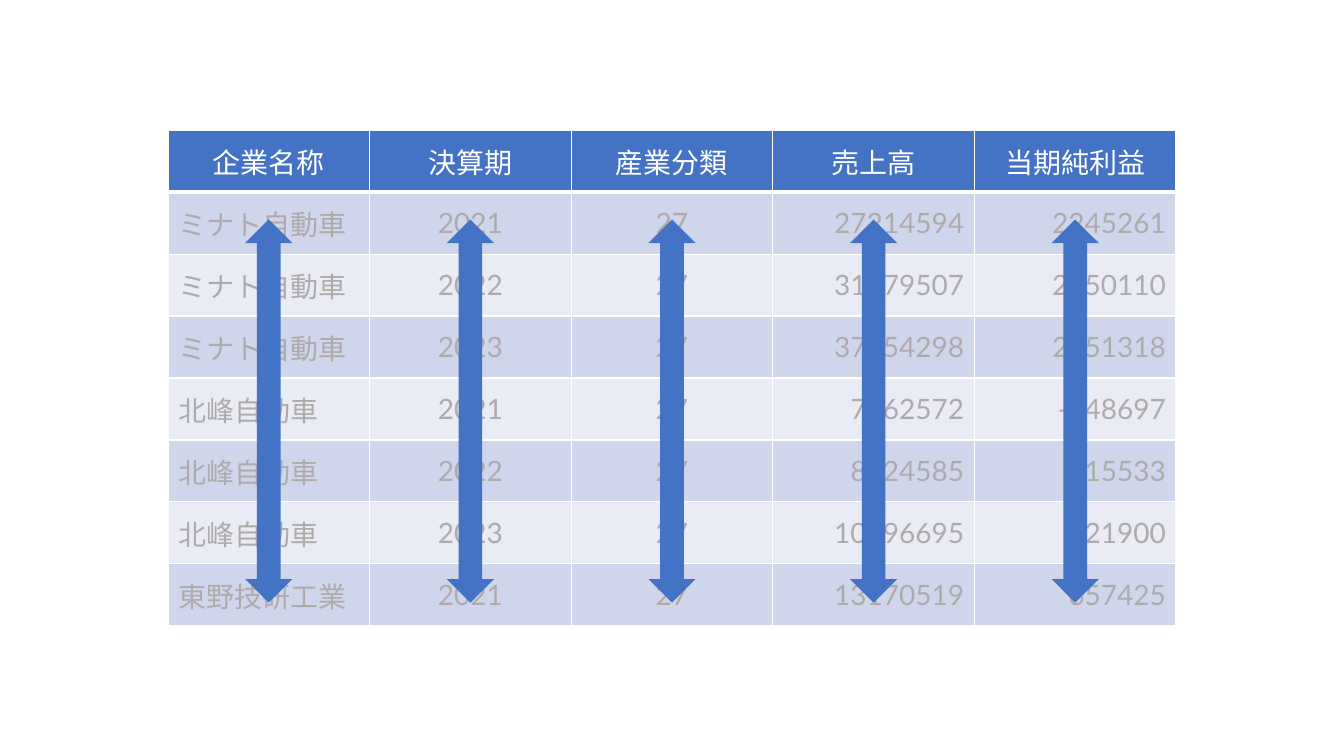
from lxml.etree import SubElement
from pptx import Presentation
from pptx.dml.color import RGBColor
from pptx.enum.shapes import MSO_SHAPE as Shape
from pptx.enum.text import MSO_ANCHOR as Anchor, PP_ALIGN as Align
from pptx.oxml.ns import qn
from pptx.util import Emu, Pt

EMU_PER_PX = 9525
BLUE = RGBColor(0x44, 0x72, 0xC4)
BAND_DARK = RGBColor(0xCF, 0xD5, 0xEA)
BAND_LIGHT = RGBColor(0xE9, 0xEB, 0xF5)
GRAY = RGBColor(0xAF, 0xAB, 0xAB)
WHITE = RGBColor(0xFF, 0xFF, 0xFF)

HEADINGS = ["企業名称", "決算期", "産業分類", "売上高", "当期純利益"]
COMPANY_RESULTS = [
    ["ミナト自動車", "2021", "27", "27214594", "2245261"],
    ["ミナト自動車", "2022", "27", "31379507", "2850110"],
    ["ミナト自動車", "2023", "27", "37154298", "2451318"],
    ["北峰自動車", "2021", "27", "7862572", "-448697"],
    ["北峰自動車", "2022", "27", "8424585", "215533"],
    ["北峰自動車", "2023", "27", "10596695", "221900"],
    ["東野技研工業", "2021", "27", "13170519", "657425"],
]
COLUMN_ALIGN = [Align.LEFT, Align.CENTER, Align.CENTER, Align.RIGHT, Align.RIGHT]


def px(length):
    return Emu(length * EMU_PER_PX)


def set_borders(cell, widths):
    properties = cell._tc.get_or_add_tcPr()
    for side, width in widths.items():
        line = SubElement(properties, qn(f"a:ln{side}"), w=str(Pt(width)))
        fill = SubElement(line, qn("a:solidFill"))
        SubElement(fill, qn("a:srgbClr"), val=str(WHITE))


def write_cell(cell, text, align, text_color, fill_color, borders):
    set_borders(cell, borders)
    cell.fill.solid()
    cell.fill.fore_color.rgb = fill_color
    cell.vertical_anchor = Anchor.MIDDLE
    para = cell.text_frame.paragraphs[0]
    para.alignment = align
    span = para.add_run()
    span.text = text
    for name, value in {"name": "Lato", "size": Pt(20), "bold": False}.items():
        setattr(span.font, name, value)
    span.font.color.rgb = text_color


def add_results_table(page, left, top, width, height):
    rows = [HEADINGS] + COMPANY_RESULTS
    frame = page.shapes.add_table(
        len(rows), len(HEADINGS), px(left), px(top), px(width), px(height)
    )
    table = frame.table
    for column in table.columns:
        column.width = px(width // len(HEADINGS))
    for row in table.rows:
        row.height = px(height // len(rows))
    for i, texts in enumerate(rows):
        borders = {"L": 1, "R": 1, "T": 3 if i == 1 else 1, "B": 3 if i == 0 else 1}
        for j, text in enumerate(texts):
            if i == 0:
                style = Align.CENTER, WHITE, BLUE
            else:
                style = COLUMN_ALIGN[j], GRAY, BAND_DARK if i % 2 else BAND_LIGHT
            write_cell(table.cell(i, j), text, *style, borders)


def add_column_arrows(page, left, top, width, height):
    pitch = width / len(HEADINGS)
    arrow_width = 45
    for j in range(len(HEADINGS)):
        center = left + pitch * (j + 0.5)
        arrow = page.shapes.add_shape(
            Shape.UP_DOWN_ARROW,
            px(center - arrow_width / 2),
            px(top),
            px(arrow_width),
            px(height),
        )
        arrow.shadow.inherit = False
        arrow.fill.solid()
        arrow.fill.fore_color.rgb = BLUE
        arrow.line.fill.background()


def main():
    deck = Presentation()
    deck.slide_width, deck.slide_height = px(1280), px(720)
    page = deck.slides.add_slide(deck.slide_layouts[6])
    add_results_table(page, 160, 124, 960, 472)
    add_column_arrows(page, 160, 209, 960, 365)
    deck.save("out.pptx")


if __name__ == "__main__":
    main()
